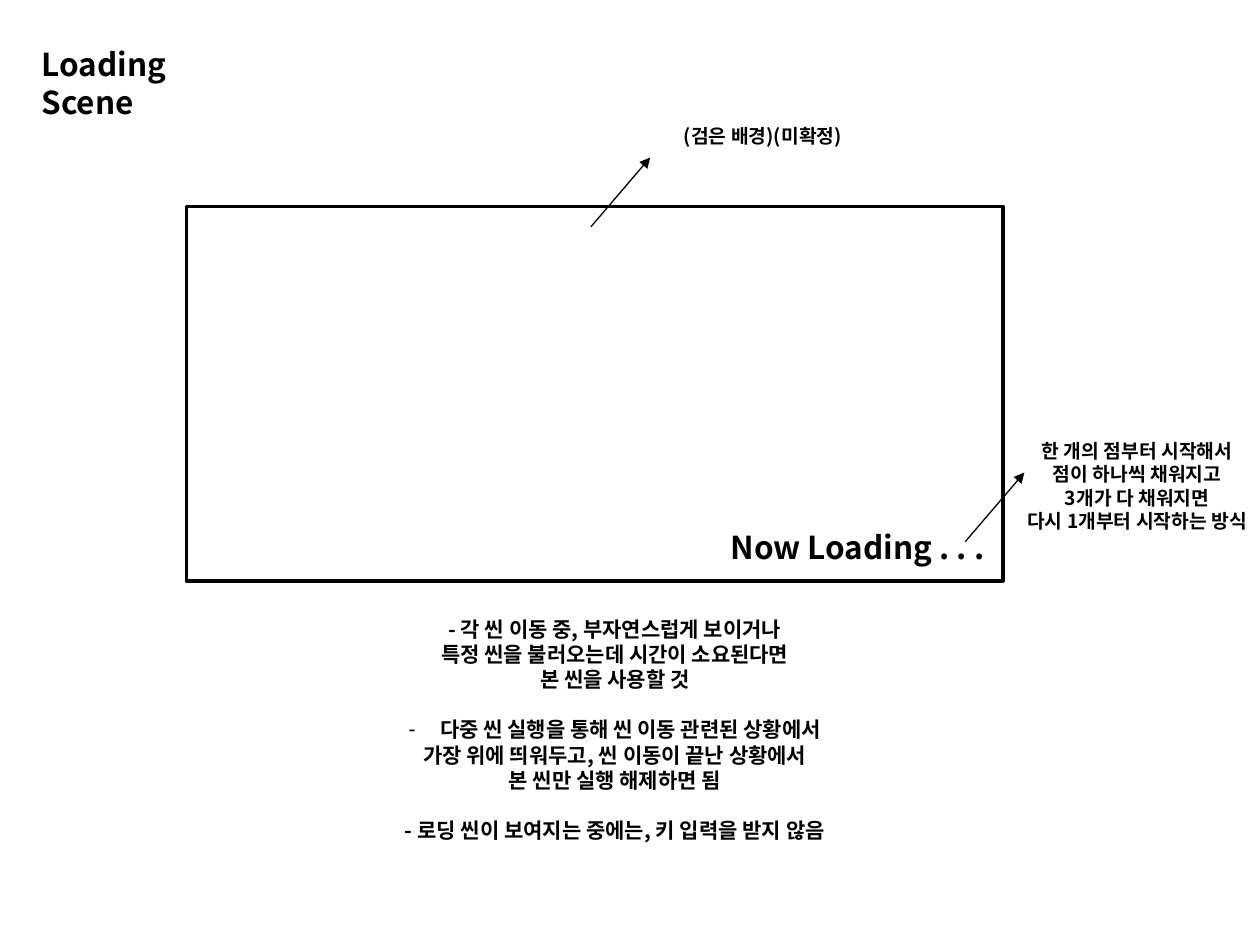
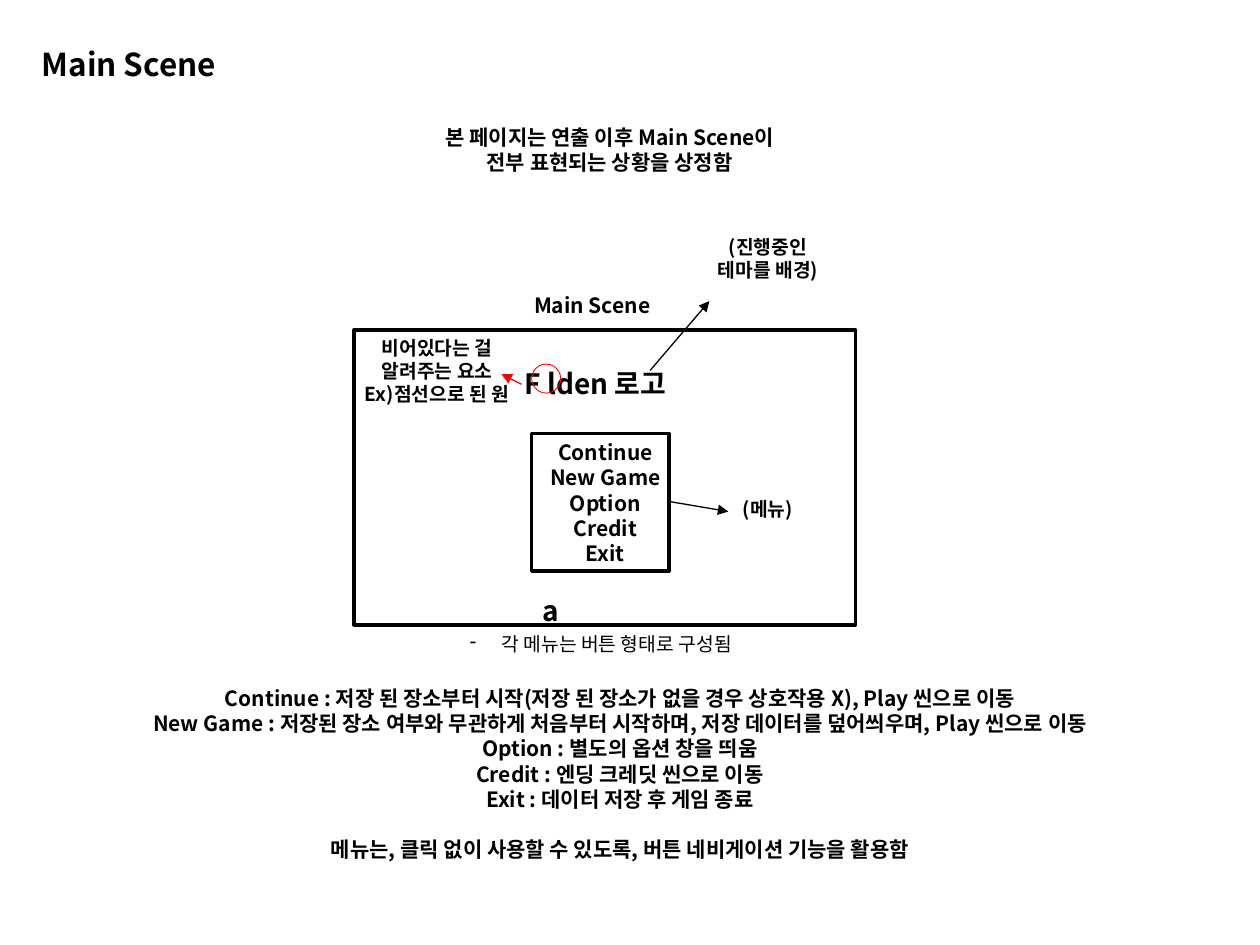
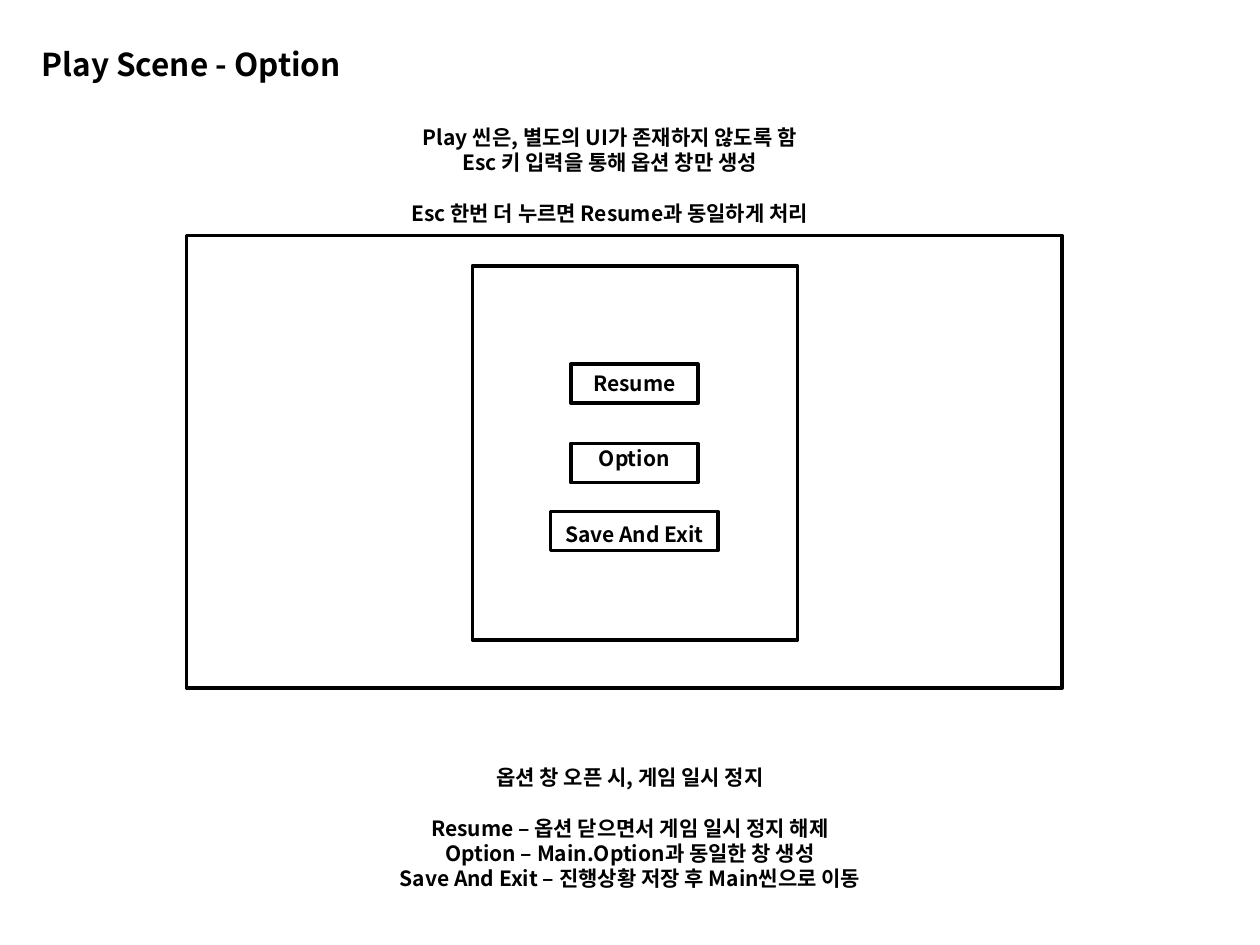
from lxml.etree import SubElement
from pptx import Presentation
from pptx.dml.color import RGBColor
from pptx.enum.shapes import MSO_CONNECTOR, MSO_SHAPE
from pptx.enum.text import MSO_ANCHOR, MSO_AUTO_SIZE, PP_ALIGN
from pptx.oxml.ns import qn
from pptx.util import Inches, Pt

FONT = "Noto Sans CJK KR"
COLOURS = {"ink": "000000", "mark": "FF0000"}
SIZES = {"title": 18, "logo": 16, "body": 12, "note": 11}
LINE_FACTOR = 1.2
BULLET_INDENT = 0.25
TITLE_LEFT, TITLE_TOP, TITLE_HEIGHT = 0.23, 0.31, 0.4


def colour(name):
    return RGBColor.from_string(COLOURS[name])


def apply(target, values):
    for name, value in values.items():
        setattr(target, name, value)


# --- Text -----------------------------------------------------------------

def set_bullet(paragraph, bullet):
    properties = paragraph._p.get_or_add_pPr()
    indent = Inches(BULLET_INDENT) if bullet else 0
    properties.set("marL", str(indent))
    properties.set("indent", str(-indent))
    if bullet:
        SubElement(properties, qn("a:buChar")).set("char", "-")
    else:
        SubElement(properties, qn("a:buNone"))


def write_text(shape, groups, size, bold=True, align=PP_ALIGN.CENTER,
               gap_lines=1, bulleted=()):
    """Write groups of lines; gap_lines line heights part the groups."""
    frame = shape.text_frame
    apply(frame, {"word_wrap": True, "auto_size": MSO_AUTO_SIZE.NONE,
                  "vertical_anchor": MSO_ANCHOR.TOP})
    points = SIZES[size]
    line_height = Pt(points * LINE_FACTOR)
    paragraph = None
    for group_index, group in enumerate(groups):
        for line_index, line in enumerate(group):
            paragraph = frame.add_paragraph() if paragraph else frame.paragraphs[0]
            starts_group = group_index > 0 and line_index == 0
            apply(paragraph, {
                "alignment": align,
                "line_spacing": line_height,
                "space_before": line_height * gap_lines if starts_group else Pt(0),
                "space_after": Pt(0)})
            set_bullet(paragraph, line_index == 0 and group_index in bulleted)
            run = paragraph.add_run()
            run.text = line
            apply(run.font, {"size": Pt(points), "bold": bold})
            run.font.color.rgb = colour("ink")
            run.font.name = FONT
            SubElement(run._r.get_or_add_rPr(), qn("a:ea")).set("typeface", FONT)


def place(shape, box):
    names = ("left", "top", "width", "height")
    apply(shape, {name: Inches(value) for name, value in zip(names, box)})


def add_text(slide, box, lines, size="note", **options):
    shape = slide.shapes.add_textbox(*map(Inches, box))
    write_text(shape, [lines], size, **options)


def add_spaced_text(slide, box, groups, **options):
    shape = slide.shapes.add_textbox(*map(Inches, box))
    write_text(shape, groups, "body", **options)


def add_scene_slide(presentation, title, title_width, body_box, groups, bulleted=()):
    """Add a slide with its title and its description below the mock-up."""
    slide = presentation.slides.add_slide(presentation.slide_layouts[1])
    place(slide.shapes.title, (TITLE_LEFT, TITLE_TOP, title_width, TITLE_HEIGHT))
    write_text(slide.shapes.title, [[title]], "title", align=PP_ALIGN.LEFT)
    body = slide.placeholders[1]
    place(body, body_box)
    write_text(body, groups, "body", bulleted=bulleted)
    return slide


# --- Outlines and arrows --------------------------------------------------

def add_outline(slide, box, kind=MSO_SHAPE.RECTANGLE, ink="ink", width=2):
    shape = slide.shapes.add_shape(kind, *map(Inches, box))
    shape.shadow.inherit = False
    shape.fill.background()
    shape.line.color.rgb = colour(ink)
    shape.line.width = Pt(width)


def add_arrow(slide, start, end, ink="ink"):
    arrow = slide.shapes.add_connector(
        MSO_CONNECTOR.STRAIGHT, *map(Inches, start + end))
    arrow.line.color.rgb = colour(ink)
    arrow.line.width = Pt(0.75)
    SubElement(arrow.line._get_or_add_ln(), qn("a:tailEnd")).set("type", "triangle")
    SubElement(arrow._element.spPr, qn("a:effectLst"))


# --- Slides ---------------------------------------------------------------

def build_loading(presentation):
    slide = add_scene_slide(
        presentation, "Loading Scene", 1.9, (2.89, 4.84, 3.98, 1.92),
        [["- 각 씬 이동 중, 부자연스럽게 보이거나",
          "특정 씬을 불러오는데 시간이 소요된다면",
          "본 씬을 사용할 것"],
         ["다중 씬 실행을 통해 씬 이동 관련된 상황에서",
          "가장 위에 띄워두고, 씬 이동이 끝난 상황에서",
          "본 씬만 실행 해제하면 됨"],
         ["- 로딩 씬이 보여지는 중에는, 키 입력을 받지 않음"]],
        bulleted=(1,))
    # Screen
    add_outline(slide, (1.48, 1.64, 6.48, 2.97))
    add_text(slide, (5.7, 4.14, 2.34, 0.4), ["Now Loading . . ."], "title",
             align=PP_ALIGN.LEFT)
    # Callouts
    add_arrow(slide, (4.69, 1.8), (5.16, 1.25))
    add_text(slide, (5.08, 0.94, 1.95, 0.29), ["(검은 배경)(미확정)"])
    add_arrow(slide, (7.66, 4.3), (8.13, 3.75))
    add_text(slide, (8.05, 3.44, 1.95, 1.03),
             ["한 개의 점부터 시작해서 점이 하나씩 채워지고",
              "3개가 다 채워지면", "다시 1개부터 시작하는 방식"])


def build_main_menu(presentation):
    slide = add_scene_slide(
        presentation, "Main Scene", 3.13, (0.39, 5.39, 9.06, 1.51),
        [["Continue : 저장 된 장소부터 시작(저장 된 장소가 없을 경우 상호작용 X), Play 씬으로 이동",
          "New Game : 저장된 장소 여부와 무관하게 처음부터 시작하며, 저장 데이터를 덮어씌우며, Play 씬으로 이동",
          "Option : 별도의 옵션 창을 띄움",
          "Credit : 엔딩 크레딧 씬으로 이동",
          "Exit : 데이터 저장 후 게임 종료"],
         ["메뉴는, 클릭 없이 사용할 수 있도록, 버튼 네비게이션 기능을 활용함"]])
    add_text(slide, (2.81, 0.94, 4.06, 0.5),
             ["본 페이지는 연출 이후 Main Scene이", "전부 표현되는 상황을 상정함"], "body")
    # Screen
    add_text(slide, (4.14, 2.27, 3.13, 0.3), ["Main Scene"], "body",
             align=PP_ALIGN.LEFT)
    add_outline(slide, (2.81, 2.62, 3.98, 2.34))
    add_text(slide, (3.05, 4.97, 3.44, 0.29), ["각 메뉴는 버튼 형태로 구성됨"],
             bold=False, bulleted=(0,))
    # Game name with its missing letter
    add_text(slide, (3.36, 2.86, 2.73, 0.37), ["F lden 로고"], "logo")
    add_text(slide, (4.06, 4.66, 0.63, 0.37), ["a"], "logo")
    add_outline(slide, (4.22, 2.89, 0.23, 0.23), MSO_SHAPE.OVAL, "mark", 0.5)
    add_arrow(slide, (4.14, 3.05), (3.98, 2.97), "mark")
    add_text(slide, (2.73, 2.62, 1.48, 0.66),
             ["비어있다는 걸", "알려주는 요소", "Ex)점선으로 된 원"])
    # Background callout
    add_arrow(slide, (5.16, 2.94), (5.63, 2.39))
    add_text(slide, (5.55, 1.82, 1.09, 0.47), ["(진행중인", "테마를 배경)"])
    # Menu
    add_outline(slide, (4.22, 3.44, 1.09, 1.09))
    add_text(slide, (3.44, 3.44, 2.73, 1.11),
             ["Continue", "New Game", "Option", "Credit", "Exit"], "body")
    add_arrow(slide, (5.31, 3.98), (5.78, 4.06))
    add_text(slide, (5.55, 3.9, 1.09, 0.29), ["(메뉴)"])


def build_play_option(presentation):
    slide = add_scene_slide(
        presentation, "Play Scene - Option", 2.89, (2.81, 6.02, 4.38, 1.11),
        [["옵션 창 오픈 시, 게임 일시 정지"],
         ["Resume – 옵션 닫으면서 게임 일시 정지 해제",
          "Option – Main.Option과 동일한 창 생성",
          "Save And Exit – 진행상황 저장 후 Main씬으로 이동"]])
    add_spaced_text(slide, (2.81, 0.94, 4.06, 0.91),
                    [["Play 씬은, 별도의 UI가 존재하지 않도록 함",
                      "Esc 키 입력을 통해 옵션 창만 생성"],
                     ["Esc 한번 더 누르면 Resume과 동일하게 처리"]])
    # Screen and option window
    add_outline(slide, (1.48, 1.87, 6.95, 3.59))
    add_outline(slide, (3.75, 2.11, 2.58, 2.97))
    # Buttons
    for left, top, width in ((4.53, 2.89, 1.01), (4.53, 3.52, 1.01), (4.37, 4.06, 1.33)):
        add_outline(slide, (left, top, width, 0.31))
    add_spaced_text(slide, (3.67, 2.89, 2.73, 1.51),
                    [["Resume"], ["Option"], ["Save And Exit"]], gap_lines=2)


def main():
    presentation = Presentation()
    apply(presentation, {"slide_width": Inches(10), "slide_height": Inches(7.5)})
    build_loading(presentation)
    build_main_menu(presentation)
    build_play_option(presentation)
    presentation.save("out.pptx")


main()
